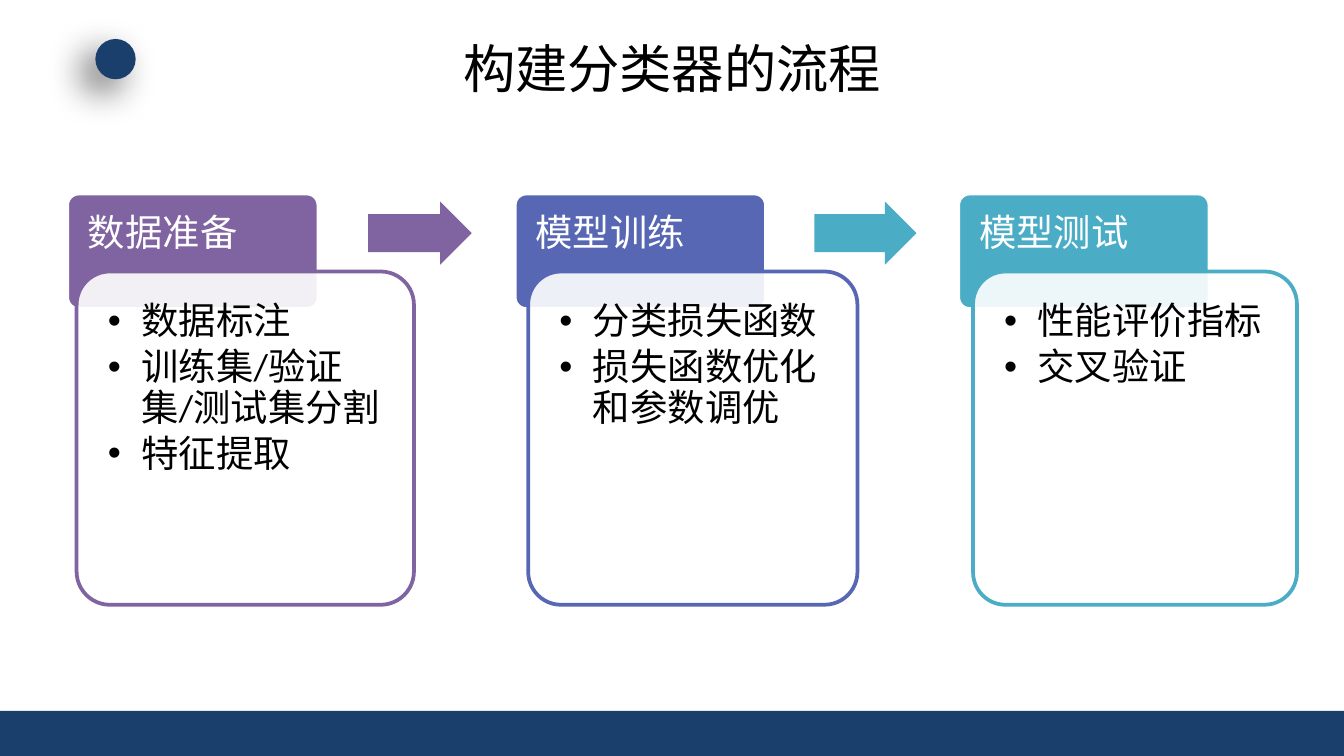
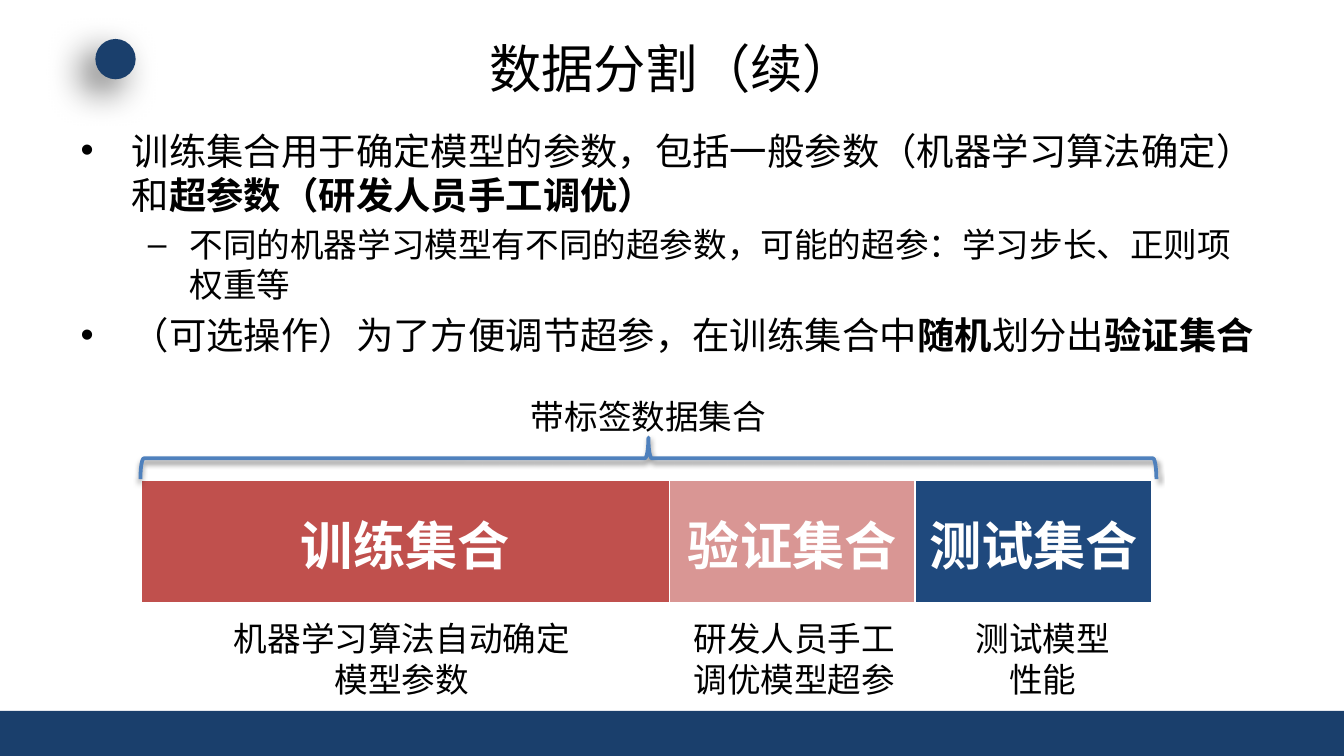
from dataclasses import dataclass

from lxml import etree
from pptx import Presentation
from pptx import util as u
from pptx.dml.color import RGBColor
from pptx.enum import shapes, text
from pptx.oxml import ns

SHAPE = shapes.MSO_SHAPE
ALIGN = text.PP_ALIGN
ANCHOR = text.MSO_ANCHOR


@dataclass(frozen=True)
class Theme:
    band: str = "1A3F6C"
    ink: str = "000000"
    paper: str = "FFFFFF"
    purple: str = "8064A2"
    indigo: str = "5767B4"
    teal: str = "4BACC6"
    brace: str = "4F81BD"
    train: str = "C0504D"
    validation: str = "D99694"
    test: str = "1F497D"
    font: str = "Noto Sans CJK SC"
    latin: str = "Calibri"
    heading: int = 28
    body: int = 20
    small: int = 18


THEME = Theme()


def inches(*values):
    return [u.Inches(value) for value in values]


def child(parent, tag, **attributes):
    return etree.SubElement(parent, ns.qn(tag), attributes)


def add_solid(parent, color):
    return child(child(parent, "a:solidFill"), "a:srgbClr", val=color)


def set_margins(target, left, top, right, bottom):
    (target.margin_left, target.margin_top,
     target.margin_right, target.margin_bottom) = inches(left, top, right, bottom)


def indent(para, left, hanging):
    props = para._p.get_or_add_pPr()
    props.set("marL", str(u.Inches(left)))
    props.set("indent", str(-u.Inches(hanging)))


class SlideBuilder:
    def __init__(self, deck, theme):
        self.deck, self.theme = deck, theme
        self.slide = None

    def page(self, title, layout):
        """Start a slide with the shared band, dot and title."""
        self.slide = self.deck.slides.add_slide(self.deck.slide_layouts.get_by_name(layout))
        self.shape(SHAPE.RECTANGLE, (0, 5.29, 10, 0.34), self.theme.band)
        dot = self.shape(SHAPE.OVAL, (0.71, 0.29, 0.3, 0.3), self.theme.band)
        self.shadow(dot, 60, 20, 10, 135)
        box = self.slide.shapes.title
        box.left, box.top, box.width, box.height = inches(0.5, 0.23, 9, 0.55)
        box.text_frame.text = title
        box.text_frame.auto_size = text.MSO_AUTO_SIZE.NONE
        self.format(box.text_frame.paragraphs[0], self.theme.heading)

    def format(self, para, size, color=None, font=None, bold=None):
        for span in para.runs:
            span.font.size = u.Pt(size)
            span.font.name = font or self.theme.font
            span.font.color.rgb = RGBColor.from_string(color or self.theme.ink)
            if bold is not None:
                span.font.bold = bold
            child(span._r.get_or_add_rPr(), "a:ea", typeface=self.theme.font)

    def shape(self, kind, place, fill=None, line=None, adjust=()):
        item = self.slide.shapes.add_shape(kind, *inches(*place))
        item.shadow.inherit = False
        for index, value in enumerate(adjust):
            item.adjustments[index] = value
        if fill:
            item.fill.solid()
            item.fill.fore_color.rgb = RGBColor.from_string(fill)
        else:
            item.fill.background()
        if line:
            item.line.color.rgb = RGBColor.from_string(line)
            item.line.width = u.Pt(2)
        else:
            item.line.fill.background()
        return item

    def shadow(self, item, opacity, blur, distance, angle):
        effects = item._element.spPr.find(ns.qn("a:effectLst"))
        outer = child(effects, "a:outerShdw", blurRad=str(u.Pt(blur)),
                      dist=str(u.Pt(distance)), dir=str(angle * 60000),
                      algn="ctr", rotWithShape="0")
        child(child(outer, "a:srgbClr", val=self.theme.ink),
              "a:alpha", val=str(opacity * 1000))

    def step(self, label, items, color, header_left, card_left, card_width):
        """Draw a coloured header tab with an overlapping card of bullets."""
        header = self.shape(SHAPE.ROUNDED_RECTANGLE, (header_left, 1.44, 1.87, 0.86),
                            color, self.theme.paper, [0.1])
        self.fill_step(header, [label], self.theme.paper, (0.13, 0.13, 0.13, 0.08))
        card = self.shape(SHAPE.ROUNDED_RECTANGLE, (card_left, 2.02, card_width, 2.48),
                          self.theme.paper, color, [0.1])
        fill = card._element.spPr.find(ns.qn("a:solidFill"))
        child(fill[0], "a:alpha", val="90000")
        self.fill_step(card, items, self.theme.ink, (0.16,) * 4)
        for para in card.text_frame.paragraphs:
            para.level = 1
            para.space_after = u.Pt(3)
            indent(para, 0.25, 0.25)
            props = para._p.get_or_add_pPr()
            child(props, "a:buFont", typeface="Arial")
            child(props, "a:buChar", char="•")

    def fill_step(self, box, lines, color, margins):
        frame = box.text_frame
        frame.word_wrap = True
        frame.vertical_anchor = ANCHOR.TOP
        set_margins(frame, *margins)
        frame.text = "\n".join(lines)
        for para in frame.paragraphs:
            para.alignment = ALIGN.LEFT
            para.line_spacing = 0.9
            self.format(para, self.theme.body, color, self.theme.latin)

    def arrow(self, left, width, color):
        self.shape(SHAPE.RIGHT_ARROW, (left, 1.5, width, 0.47), color, adjust=[0.6, 0.5])

    def bullets(self, place, items):
        """Fill the body placeholder; each item is a level and (words, bold) spans."""
        box = self.slide.placeholders[1]
        box.left, box.top, box.width, box.height = inches(*place)
        frame = box.text_frame
        frame.auto_size = text.MSO_AUTO_SIZE.NONE
        levels = [(0.38, 0.38, self.theme.body), (0.81, 0.31, self.theme.small)]
        for index, (level, spans) in enumerate(items):
            para = frame.add_paragraph() if index else frame.paragraphs[0]
            left, hanging, size = levels[level]
            para.level = level
            indent(para, left, hanging)
            para.space_before = u.Pt(size / 5 if index else 0)
            for words, bold in spans:
                span = para.add_run()
                span.text = words
                span.font.bold = bold
            self.format(para, size)

    def caption(self, words, place):
        frame = self.slide.shapes.add_textbox(*inches(*place)).text_frame
        frame.word_wrap = True
        frame.auto_size = text.MSO_AUTO_SIZE.SHAPE_TO_FIT_TEXT
        frame.text = words
        frame.paragraphs[0].alignment = ALIGN.CENTER
        self.format(frame.paragraphs[0], self.theme.small)

    def split_bar(self, place, parts):
        """Draw a one-row table; each part is a label, a width and a fill."""
        table = self.slide.shapes.add_table(1, len(parts), *inches(*place)).table
        table.first_row = table.horz_banding = False
        for index, (label, width, color) in enumerate(parts):
            table.columns[index].width = u.Inches(width)
            cell = table.cell(0, index)
            props = cell._tc.get_or_add_tcPr()
            for side, weight in zip("LRTB", (1, 1, 1, 3)):
                border = child(props, f"a:ln{side}", w=str(u.Pt(weight)))
                add_solid(border, self.theme.paper)
            cell.fill.solid()
            cell.fill.fore_color.rgb = RGBColor.from_string(color)
            cell.vertical_anchor = ANCHOR.MIDDLE
            set_margins(cell, 0.07, 0.04, 0.07, 0.04)
            cell.text_frame.text = label
            para = cell.text_frame.paragraphs[0]
            para.alignment = ALIGN.CENTER
            self.format(para, self.theme.heading, self.theme.paper, self.theme.latin, True)

    def brace(self, place):
        item = self.shape(SHAPE.RIGHT_BRACE, place, line=self.theme.brace)
        item.rotation = 270
        self.shadow(item, 38, 3.1, 1.6, 90)


def build_process(builder):
    theme = builder.theme
    builder.page("构建分类器的流程", "Title Only")
    builder.step("数据准备", ["数据标注", "训练集/验证集/测试集分割", "特征提取"],
                 theme.purple, 0.5, 0.57, 2.51)
    builder.arrow(2.74, 0.77, theme.purple)
    builder.step("模型训练", ["分类损失函数", "损失函数优化和参数调优"],
                 theme.indigo, 3.83, 3.93, 2.45)
    builder.arrow(6.06, 0.76, theme.teal)
    builder.step("模型测试", ["性能评价指标", "交叉验证"],
                 theme.teal, 7.13, 7.24, 2.41)


def build_data_split(builder):
    theme = builder.theme
    builder.page("数据分割（续）", "Title and Content")
    builder.bullets((0.5, 0.9, 9, 4.31), [
        (0, [("训练集合用于确定模型的参数，包括一般参数（机器学习算法确定）和", False),
             ("超参数（研发人员手工调优）", True)]),
        (1, [("不同的机器学习模型有不同的超参数，可能的超参：学习步长、正则项权重等", False)]),
        (0, [("（可选操作）为了方便调节超参，在训练集合中", False), ("随机", True),
             ("划分出", False), ("验证集合", True)]),
    ])
    builder.split_bar((1.05, 3.57, 7.52, 0.93), [
        ("训练集合", 3.93, theme.train),
        ("验证集合", 1.83, theme.validation),
        ("测试集合", 1.76, theme.test),
    ])
    for words, left, width in [("机器学习算法自动确定模型参数", 1.63, 2.72),
                               ("研发人员手工调优模型超参", 5, 1.82),
                               ("测试模型性能", 7.11, 1.3)]:
        builder.caption(words, (left, 4.55, width, 0.71))
    builder.brace((4.67, -0.37, 0.31, 7.56))
    builder.caption("带标签数据集合", (3.73, 2.9, 2.19, 0.4))


def main():
    deck = Presentation()
    deck.slide_width = u.Inches(10)
    deck.slide_height = deck.slide_width * 9 // 16
    builder = SlideBuilder(deck, THEME)
    build_process(builder)
    build_data_split(builder)
    deck.save("out.pptx")


if __name__ == "__main__":
    main()
